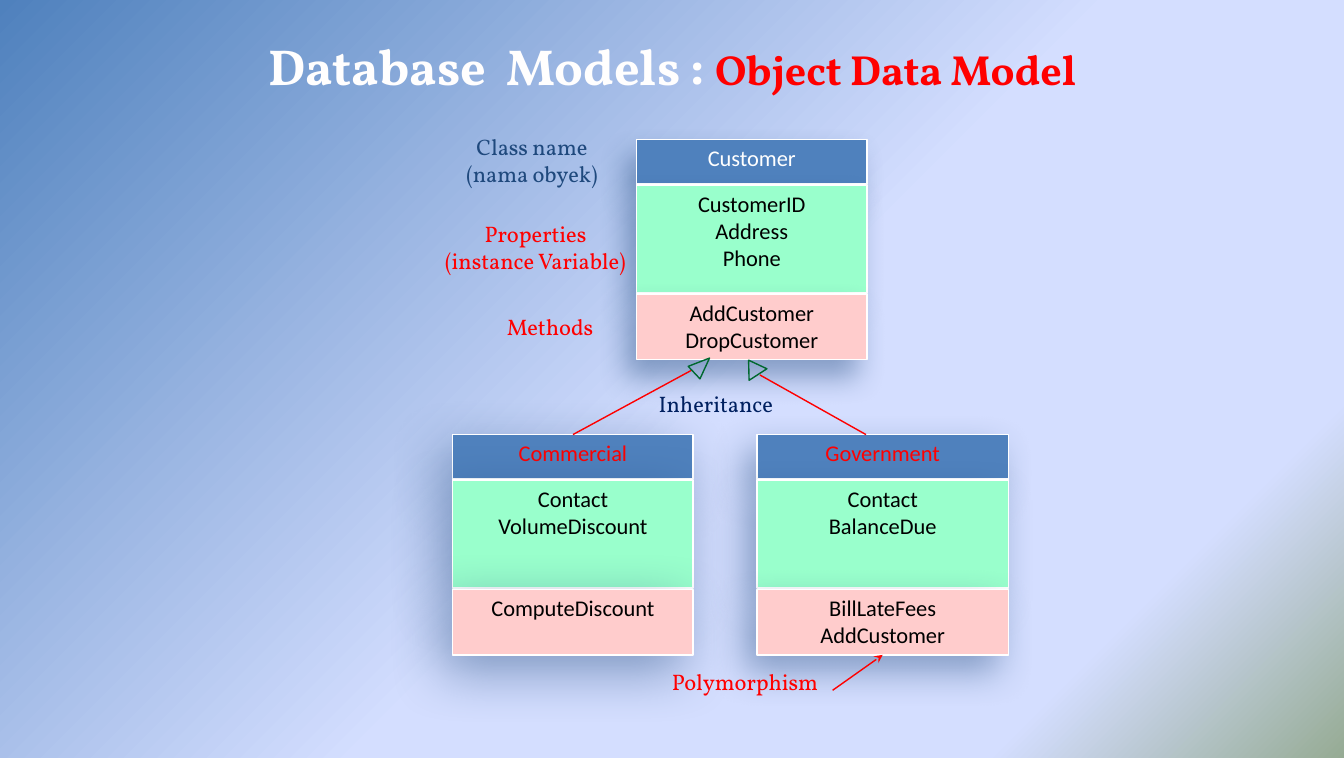
import pptx
import pptx.util
import pptx.dml.color
import pptx.enum.shapes
import pptx.enum.text
import pptx.oxml
import pptx.oxml.ns

# Content; lengths are cells of a grid of 133 columns by 75 rows
COLS, ROWS = 133, 75
HUE = {
    "blue": "4F81BD", "navy": "1F497D", "ink": "002060", "red": "FF0000",
    "mint": "99FFCC", "pink": "FFCCCC", "white": "FFFFFF", "pale": "FFFEFE",
    "black": "000000", "green": "00682F", "sky": "D4DEFF", "moss": "96AB94",
}
SERIF, SANS = "Vollkorn", "Calibri"
STOPS = [(0, "blue"), (53, "sky"), (83, "sky"), (100, "moss")]
TITLE = [("Database  Models : ", 36, "pale"), ("Object Data Model", 30, "red")]
BANDS = [(4.4, "blue"), (10.7, "mint"), (6.5, "pink")]  # height, fill
GAP = 0.1
# left, top, width, name colour, shadow (alpha, blur, angle), band texts
CARDS = {
    "base": (63, 13.8, 22.8, "white", (43, 21, 122), [
        ["Customer"], ["CustomerID", "Address", "Phone"],
        ["AddCustomer", "DropCustomer"]]),
    "trade": (44.8, 43, 23.8, "red", (48, 40, 126), [
        ["Commercial"], ["Contact", "VolumeDiscount"], ["ComputeDiscount"]]),
    "state": (74.9, 43, 24.9, "red", (43, 27, 127), [
        ["Government"], ["Contact", "BalanceDue"],
        ["BillLateFees", "AddCustomer"]]),
}
# box, alignment, colour, lines
LABELS = [
    ((44.8, 12.7, 15.7, 6.4), "CENTER", "navy", ["Class name", "(nama obyek)"]),
    ((42.7, 21.3, 20.6, 6.4), "CENTER", "red",
     ["Properties", "(instance Variable)"]),
    ((48.9, 30.5, 10.8, 3.7), "RIGHT", "red", ["Methods"]),
    ((64.2, 38.1, 13.8, 3.7), "LEFT", "ink", ["Inheritance"]),
    ((65.5, 65.6, 16.8, 3.7), "LEFT", "red", ["Polymorphism"]),
]
# start, end, joined (card, band, side), arrowhead
LINES = [
    ((68.5, 36.6), (57.3, 43), ("trade", 0, 0), False),
    ((75.2, 37.1), (85.7, 43), None, False),
    ((82.4, 68.3), (87.6, 65), ("state", 2, 2), True),
]
TIPS = [((68.6, 35.1, 1.7, 2.1), 46.7), ((73.5, 35.5, 2.1, 1.7), 327)]

deck = pptx.Presentation()
deck.slide_width = pptx.util.Inches(13.3)
deck.slide_height = pptx.util.Inches(7.5)
slide = deck.slides.add_slide(deck.slide_layouts[6])
shapes = slide.shapes
SHAPE = pptx.enum.shapes.MSO_SHAPE
ALIGN = pptx.enum.text.PP_ALIGN
ANCHOR = pptx.enum.text.MSO_ANCHOR


def grid(*cells):
    """Turn alternating columns and rows into slide lengths."""
    units = (deck.slide_width / COLS, deck.slide_height / ROWS)
    return [round(c * units[i % 2]) for i, c in enumerate(cells)]


def tint(name):
    return pptx.dml.color.RGBColor.from_string(HUE[name])


def node(xml):
    space = pptx.oxml.ns.nsdecls("a")
    return pptx.oxml.parse_xml(xml.replace(">", f" {space}>", 1))


def write(frame, lines, font, align="CENTER", bold=None):
    """Each line is a list of runs: text, size, colour."""
    for i, runs in enumerate(lines):
        para = frame.add_paragraph() if i else frame.paragraphs[0]
        para.alignment = ALIGN[align]
        for text, size, hue in runs:
            run = para.add_run()
            run.text = text
            run.font.name, run.font.size = font, pptx.util.Pt(size)
            run.font.color.rgb, run.font.bold = tint(hue), bold


def stroke(shape, hue):
    shape.line.color.rgb = tint(hue)
    shape.line.width = pptx.util.Pt(1)


def shade(shape, alpha, blur, angle):
    blur, dist = pptx.util.Pt(blur), pptx.util.Pt(14)
    shape._element.spPr.append(node(
        f'<a:effectLst><a:outerShdw blurRad="{blur}" dist="{dist}" '
        f'dir="{angle * 60000}" algn="ctr" rotWithShape="0">'
        f'<a:srgbClr val="{HUE["navy"]}"><a:alpha val="{alpha * 1000}"/>'
        '</a:srgbClr></a:outerShdw></a:effectLst>'))


# Background
fill = slide.background.fill
fill.gradient()
fill.gradient_angle = 315  # counter-clockwise
stops = fill._fill._gradFill.find(pptx.oxml.ns.qn("a:gsLst"))
for old in list(stops):
    stops.remove(old)
for pos, hue in STOPS:
    stops.append(node(f'<a:gs pos="{pos * 1000}">'
                      f'<a:srgbClr val="{HUE[hue]}"/></a:gs>'))

# Title
head = shapes.add_textbox(*grid(6.7, 1.7, 119.7, 9.5)).text_frame
head.word_wrap = True
head.vertical_anchor = ANCHOR.MIDDLE
write(head, [TITLE], SERIF, bold=True)

# Class cards
boxes = {}
for card, (left, top, width, hue, glow, texts) in CARDS.items():
    for band, ((high, paint), lines) in enumerate(zip(BANDS, texts)):
        box = shapes.add_shape(SHAPE.RECTANGLE, *grid(left, top, width, high))
        box.fill.solid()
        box.fill.fore_color.rgb = tint(paint)
        stroke(box, "white")
        shade(box, *glow)
        box.text_frame.vertical_anchor = ANCHOR.TOP
        ink = "black" if band else hue
        write(box.text_frame, [[(t, 16, ink)] for t in lines], SANS)
        boxes[card, band] = box
        top += high + GAP

# Labels
for area, align, hue, lines in LABELS:
    frame = shapes.add_textbox(*grid(*area)).text_frame
    frame.word_wrap = False
    write(frame, [[(t, 16, hue)] for t in lines], SERIF, align)

# Lines
for start, end, join, arrow in LINES:
    line = shapes.add_connector(pptx.enum.shapes.MSO_CONNECTOR.STRAIGHT,
                                *grid(*start, *end))
    stroke(line, "red")
    if join:
        card, band, side = join
        line.end_connect(boxes[card, band], side)
    if arrow:
        line.line._get_or_add_ln().append(node('<a:tailEnd type="stealth"></a:tailEnd>'))
    line._element.spPr.append(node("<a:effectLst></a:effectLst>"))

# Inheritance tips
for area, turn in TIPS:
    tip = shapes.add_shape(SHAPE.ISOSCELES_TRIANGLE, *grid(*area))
    tip.rotation = turn
    tip.fill.background()
    stroke(tip, "green")
    tip.shadow.inherit = False

deck.save("out.pptx")
